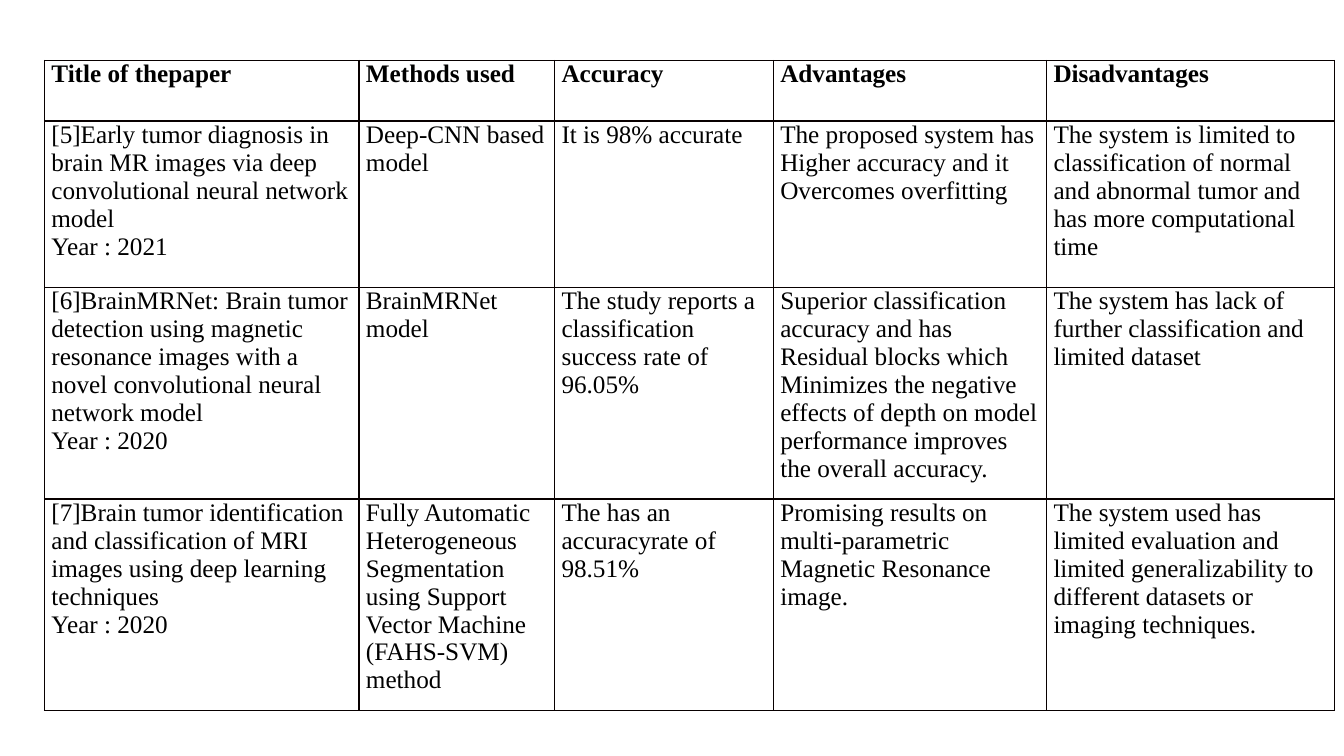
"""Build a literature survey slide with one bordered table."""
from pptx import Presentation
from pptx.dml.color import RGBColor
from pptx.oxml.ns import qn
from pptx.util import Inches, Pt
from lxml import etree

FONT = "Times New Roman"
TEXT_COLOR = "000000"
BORDER_COLOR = "080000"
LEFT, TOP = 0.44, 0.6
COL_WIDTHS = [3.12, 1.94, 2.17, 2.71, 2.86]
ROW_HEIGHTS = [0.6, 1.65, 2.1, 2.1]

HEADERS = ["Title of thepaper", "Methods used", "Accuracy", "Advantages", "Disadvantages"]
PAPERS = [
    ["[5]Early tumor diagnosis in brain MR images via deep convolutional neural network model\n"
     "Year : 2021",
     "Deep-CNN based model",
     "It is 98% accurate",
     "The proposed system has Higher accuracy and it Overcomes overfitting",
     "The system is limited to classification of normal and abnormal tumor "
     "and has more computational time"],
    ["[6]BrainMRNet: Brain tumor detection using magnetic resonance images "
     "with a novel convolutional neural network model\n"
     "Year : 2020",
     "BrainMRNet model",
     "The study reports a classification success rate of 96.05%",
     "Superior classification accuracy and has Residual blocks which Minimizes the negative "
     "effects of depth on model performance improves the overall accuracy.",
     "The system has lack of further classification and limited dataset"],
    ["[7]Brain tumor identification and classification of MRI images "
     "using deep learning techniques\n"
     "Year : 2020",
     "Fully Automatic Heterogeneous Segmentation using Support Vector Machine (FAHS-SVM) method",
     "The has an accuracyrate of 98.51%",
     "Promising results on multi-parametric Magnetic Resonance image.",
     "The system used has limited evaluation and limited generalizability "
     "to different datasets or imaging techniques."],
]


def rgb(color):
    return RGBColor.from_string(color)


def write(tf, text, size=18, bold=False, color=TEXT_COLOR):
    tf.word_wrap = True
    for i, line in enumerate(text.split("\n")):
        p = tf.paragraphs[0] if i == 0 else tf.add_paragraph()
        r = p.add_run()
        r.text = line
        r.font.name = FONT
        r.font.size = Pt(size)
        r.font.bold = bold
        r.font.color.rgb = rgb(color)


def add_borders(cell, color=BORDER_COLOR, width=1):
    tc_pr = cell._tc.get_or_add_tcPr()
    for i, side in enumerate(("lnL", "lnR", "lnT", "lnB")):
        ln = etree.Element(qn(f"a:{side}"), w=str(Pt(width)))
        fill = etree.SubElement(ln, qn("a:solidFill"))
        etree.SubElement(fill, qn("a:srgbClr"), val=color)
        tc_pr.insert(i, ln)


def add_table(s, rows):
    frame = s.shapes.add_table(len(rows), len(COL_WIDTHS), Inches(LEFT), Inches(TOP),
                               Inches(sum(COL_WIDTHS)), Inches(sum(ROW_HEIGHTS)))
    table = frame.table
    table.horz_banding = False
    for col, width in zip(table.columns, COL_WIDTHS):
        col.width = Inches(width)
    for row, height in zip(table.rows, ROW_HEIGHTS):
        row.height = Inches(height)
    for i, texts in enumerate(rows):
        for j, text in enumerate(texts):
            cell = table.cell(i, j)
            cell.margin_left = cell.margin_right = Inches(0.07)
            cell.margin_top = cell.margin_bottom = 0
            cell.fill.background()
            add_borders(cell)
            write(cell.text_frame, text, bold=i == 0)


def main():
    prs = Presentation()
    prs.slide_width, prs.slide_height = Inches(13.33), Inches(7.5)
    s = prs.slides.add_slide(prs.slide_layouts[6])
    add_table(s, [HEADERS] + PAPERS)
    prs.save("out.pptx")


if __name__ == "__main__":
    main()
